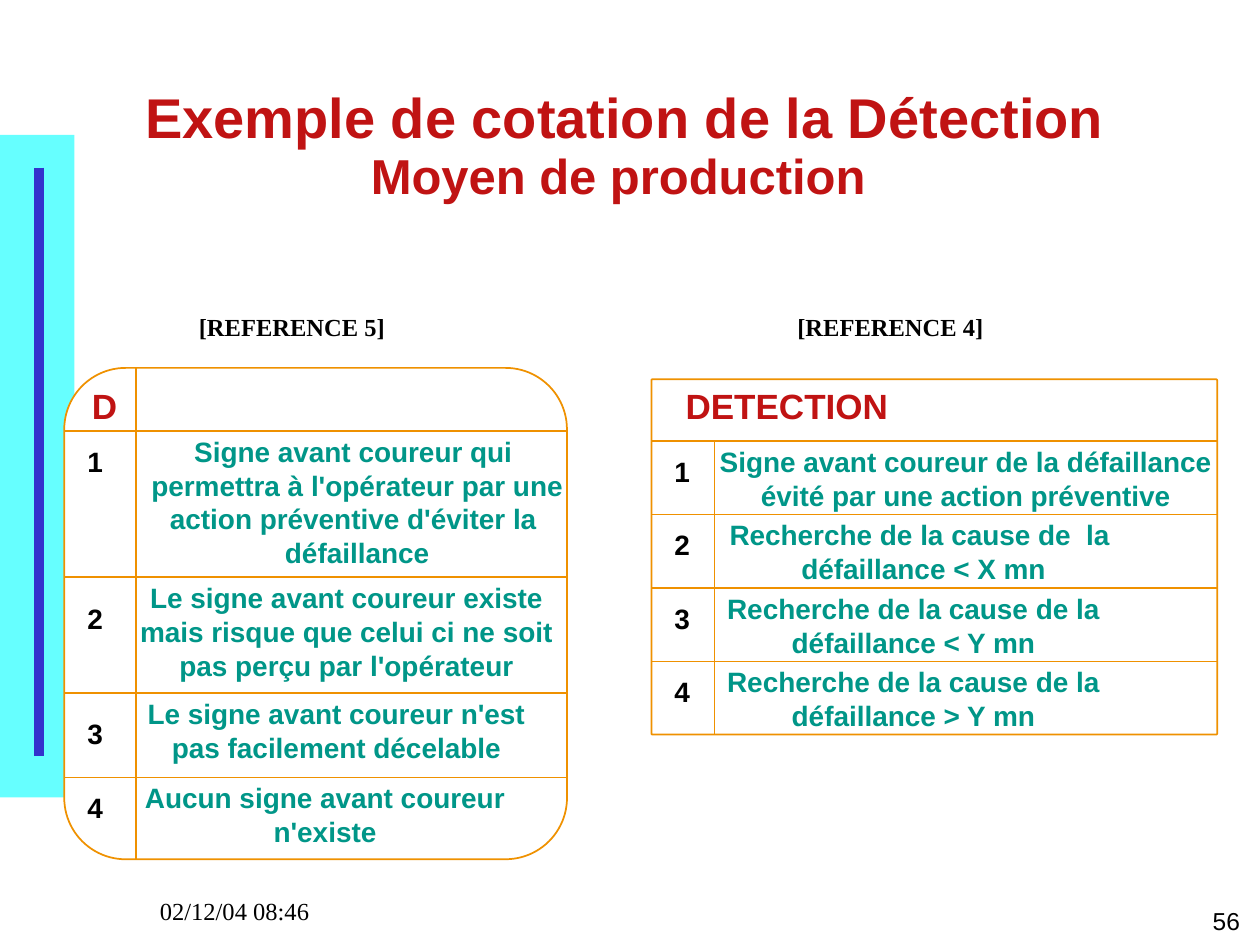
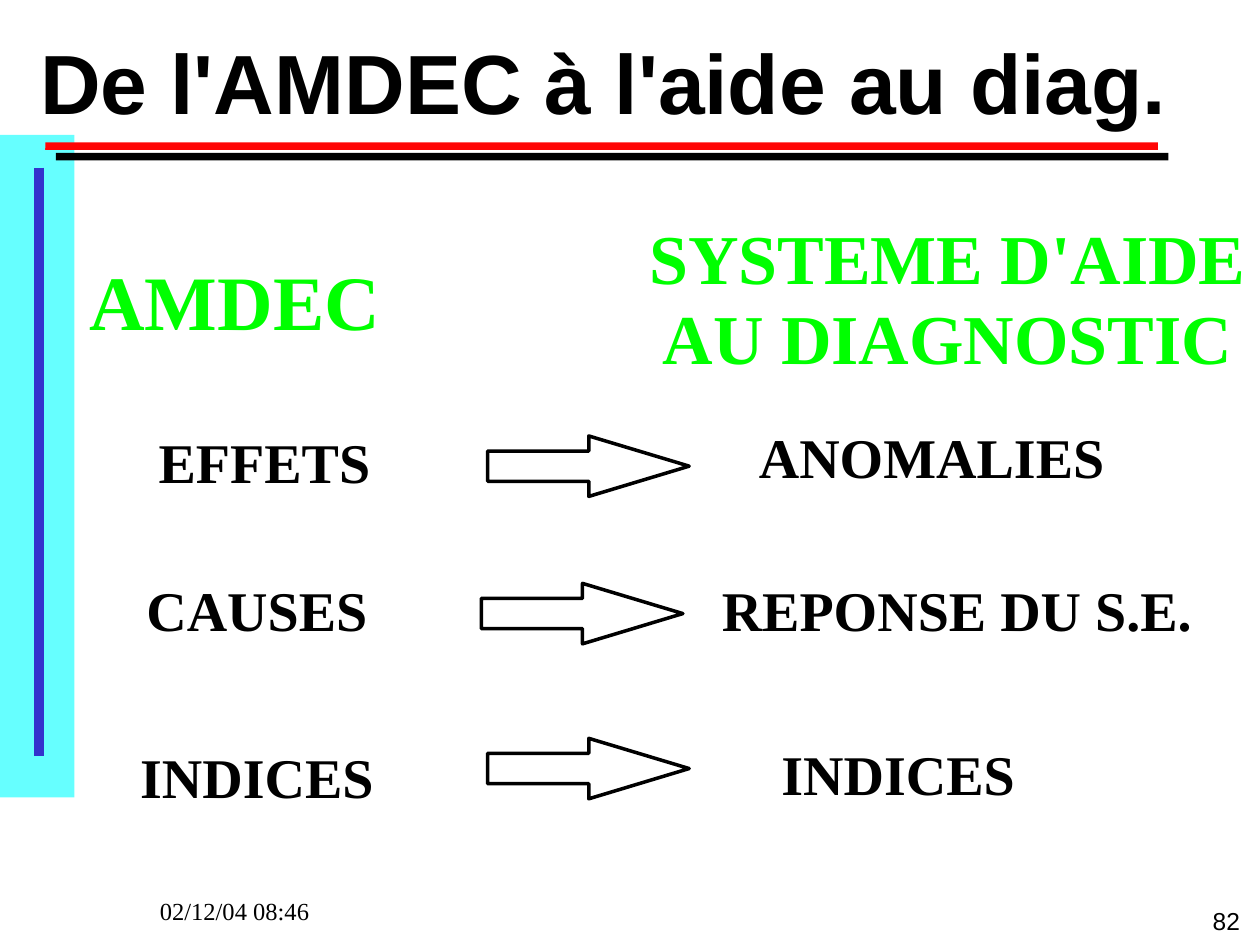
from dataclasses import dataclass

from lxml import etree
from pptx import Presentation
from pptx.dml.color import RGBColor
from pptx.enum.shapes import MSO_CONNECTOR, MSO_SHAPE
from pptx.enum.text import MSO_ANCHOR as Anchor, PP_ALIGN as Align
from pptx.oxml.ns import qn
from pptx.util import Inches, Pt

SANS, SERIF = "Arial", "Times New Roman"
FIRST_SPACING = {SANS: 0.93, SERIF: 0.95}
BLACK, WHITE = "000000", "FFFFFF"
CYAN, BLUE = "66FFFF", "3333CC"
CRIMSON, TEAL, ORANGE = "C01313", "009688", "EF9100"
RED, GREEN = "FF0505", "00FF00"
PLAIN, ROUNDED = MSO_SHAPE.RECTANGLE, MSO_SHAPE.ROUNDED_RECTANGLE
SHARP = 0.003


@dataclass
class Box:
    left: float
    top: float
    width: float
    height: float

    def emu(self) -> list:
        return [Inches(v) for v in (self.left, self.top, self.width, self.height)]


@dataclass
class Rating:
    """One row of a rating grid; number_gap is from the row's top line."""
    top: float
    text_left: float
    text_width: float
    text: str
    number_gap: float = 0.08


@dataclass
class Grid:
    frame: Box
    radius: float
    divider_left: float
    divider_top: float
    number_left: float
    heading: str
    heading_box: Box
    reference: str
    reference_left: float
    ratings: list[Rating]


@dataclass
class Label:
    box: Box
    text: str
    size: int = 32
    color: str = BLACK


def rgb(color: str) -> RGBColor:
    return RGBColor.from_string(color)


def add_shape(slide, kind, box: Box, *, fill=None, line=None, weight=1.0, adjust=()):
    sp = slide.shapes.add_shape(kind, *box.emu())
    sp.shadow.inherit = False
    for i, value in enumerate(adjust):
        sp.adjustments[i] = value
    if fill:
        sp.fill.solid()
        sp.fill.fore_color.rgb = rgb(fill)
    else:
        sp.fill.background()
    if line:
        sp.line.color.rgb = rgb(line)
        sp.line.width = Pt(weight)
    else:
        sp.line.fill.background()
    return sp


def write(sp, text: str, *, size=16, font=SANS, color=BLACK, bold=True,
          align=Align.CENTER, anchor=Anchor.TOP):
    """Each line of text is a paragraph; a vertical tab breaks a line within one."""
    tf = sp.text_frame
    tf.word_wrap = align != Align.CENTER
    tf.vertical_anchor = anchor
    for i, line in enumerate(text.split("\n")):
        p = tf.add_paragraph() if i else tf.paragraphs[0]
        p.text = line
        p.alignment = align
        p.line_spacing = 1.0 if i else FIRST_SPACING[font]
        for r in p.runs:
            r.font.name, r.font.size, r.font.bold = font, Pt(size), bold
            r.font.color.rgb = rgb(color)
    return sp


def add_text(slide, box: Box, text: str, **style):
    return write(slide.shapes.add_textbox(*box.emu()), text, **style)


def add_label(slide, box: Box, text: str, **style):
    return write(add_shape(slide, ROUNDED, box, adjust=[SHARP]), text, **style)


def add_line(slide, x1: float, y1: float, x2: float, y2: float, color=ORANGE, weight=1.0):
    ends = [Inches(v) for v in (x1, y1, x2, y2)]
    line = slide.shapes.add_connector(MSO_CONNECTOR.STRAIGHT, *ends)
    line.line.color.rgb = rgb(color)
    line.line.width = Pt(weight)
    etree.SubElement(line._element.spPr, qn("a:effectLst"))


def add_hard_shadow(sp, color: str, distance: float):
    """Sharp shadow towards the lower right."""
    effects = sp._element.spPr.find(qn("a:effectLst"))
    shadow = etree.SubElement(effects, qn("a:outerShdw"), blurRad="0",
                              dist=str(Pt(distance)), dir="2700000",
                              algn="ctr", rotWithShape="0")
    etree.SubElement(shadow, qn("a:srgbClr"), val=color)


def new_slide(prs, number: int):
    slide = prs.slides.add_slide(prs.slide_layouts[6])
    add_shape(slide, PLAIN, Box(0, 1.07, 0.59, 5.26), fill=CYAN)
    add_text(slide, Box(7.86, 7.16, 2.08, 0.32), str(number), size=14, bold=False,
             align=Align.RIGHT)
    add_text(slide, Box(1.17, 7.08, 2.08, 0.32), "02/12/04 08:46", size=14, font=SERIF,
             bold=False, align=Align.LEFT)
    add_line(slide, 0.31, 1.33, 0.31, 6, BLUE, 6)
    return slide


def draw_grid(slide, grid: Grid):
    frame = grid.frame
    right, bottom = frame.left + frame.width, frame.top + frame.height
    add_shape(slide, ROUNDED, frame, fill=WHITE, line=ORANGE, adjust=[grid.radius])
    add_line(slide, grid.divider_left, grid.divider_top, grid.divider_left, bottom)
    add_label(slide, grid.heading_box, grid.heading, size=20, color=CRIMSON)
    add_label(slide, Box(grid.reference_left, 2.44, 1.73, 0.32), grid.reference, size=14,
              font=SERIF, align=Align.LEFT)
    for level, row in enumerate(grid.ratings, 1):
        add_line(slide, frame.left, row.top, right, row.top)
        add_label(slide, Box(grid.number_left, row.top + row.number_gap, 0.33, 0.35),
                  str(level))
        height = 0.1 + 0.26 * len(row.text.split("\n"))
        add_label(slide, Box(row.text_left, row.top, row.text_width, height), row.text,
                  color=TEAL)


PRODUCTION_GRID = Grid(
    Box(0.51, 2.92, 3.99, 3.9), 0.125, 1.08, 2.92, 0.59,
    "D", Box(0.63, 3.03, 0.4, 0.41), "[REFERENCE 5]", 1.48,
    [
        Rating(3.42, 1.1, 3.47, "Signe avant coureur qui \npermettra à l'opérateur par une\n"
                                "action préventive d'éviter la \ndéfaillance"),
        Rating(4.58, 1.01, 3.48, "Le signe avant coureur existe\n"
                                 "mais risque que celui ci ne soit\n"
                                 "pas perçu par l'opérateur", 0.17),
        Rating(5.5, 1.07, 3.2, "Le signe avant coureur n'est\npas facilement décelable", 0.16),
        Rating(6.17, 1.05, 3.06, "Aucun signe avant coureur\nn'existe"),
    ])

SEARCH_TEXTS = [
    (5.61, 4.11, "Signe avant coureur de la défaillance\névité par une action préventive"),
    (5.69, 3.28, "Recherche de la cause de  la \ndéfaillance < X mn"),
    (5.67, 3.16, "Recherche de la cause de la\ndéfaillance < Y mn"),
    (5.67, 3.16, "Recherche de la cause de la\ndéfaillance > Y mn"),
]
SEARCH_GRID = Grid(
    Box(5.17, 3.01, 4.49, 2.82), SHARP, 5.67, 3.5, 5.25,
    "DETECTION", Box(5.34, 3.03, 1.81, 0.41), "[REFERENCE 4]", 6.23,
    [Rating(3.5 + i * 1.75 / 3, *row) for i, row in enumerate(SEARCH_TEXTS)])

DIAGNOSIS_LABELS = [
    Label(Box(0.61, 2.02, 2.51, 0.8), "AMDEC", 44, GREEN),
    Label(Box(5.05, 1.7, 4.94, 1.37), "SYSTEME D'AIDE\vAU DIAGNOSTIC", 40, GREEN),
    Label(Box(1.16, 3.38, 1.88, 0.61), "EFFETS"),
    Label(Box(1.06, 4.56, 1.96, 0.61), "CAUSES"),
    Label(Box(1.01, 5.88, 2.06, 0.61), "INDICES"),
    Label(Box(5.92, 3.34, 2.95, 0.61), "ANOMALIES"),
    Label(Box(6.1, 5.86, 2.06, 0.61), "INDICES"),
]
ARROW_CORNERS = [(3.87, 3.46), (3.82, 4.63), (3.87, 5.86)]


def build_detection_slide(prs):
    slide = new_slide(prs, 56)
    title = add_text(slide, Box(0.5, 0.63, 8.92, 1.07),
                     "Exemple de cotation de la Détection\vMoyen de production ",
                     size=32, color=CRIMSON, anchor=Anchor.MIDDLE)
    title.text_frame.paragraphs[0].runs[1].font.size = Pt(28)
    for grid in (SEARCH_GRID, PRODUCTION_GRID):
        draw_grid(slide, grid)


def build_diagnosis_slide(prs):
    slide = new_slide(prs, 82)
    add_text(slide, Box(0.22, 0.26, 10, 0.85), "De l'AMDEC à l'aide au diag.", size=48,
             align=Align.LEFT, anchor=Anchor.MIDDLE)
    rule = add_shape(slide, ROUNDED, Box(0.36, 1.13, 8.83, 0.06), fill=RED, adjust=[0.03])
    add_hard_shadow(rule, BLACK, 8.5)
    for label in DIAGNOSIS_LABELS:
        add_label(slide, label.box, label.text, size=label.size, font=SERIF,
                  color=label.color)
    add_text(slide, Box(5.63, 4.56, 4.11, 0.61), "REPONSE DU S.E.", size=32, font=SERIF,
             align=Align.LEFT)
    for left, top in ARROW_CORNERS:
        add_shape(slide, MSO_SHAPE.RIGHT_ARROW, Box(left, top, 1.6, 0.48), line=BLACK,
                  weight=2, adjust=(0.5, 1.66))


def main():
    prs = Presentation()
    prs.slide_width, prs.slide_height = Inches(10), Inches(7.5)
    build_detection_slide(prs)
    build_diagnosis_slide(prs)
    prs.save("out.pptx")


if __name__ == "__main__":
    main()
